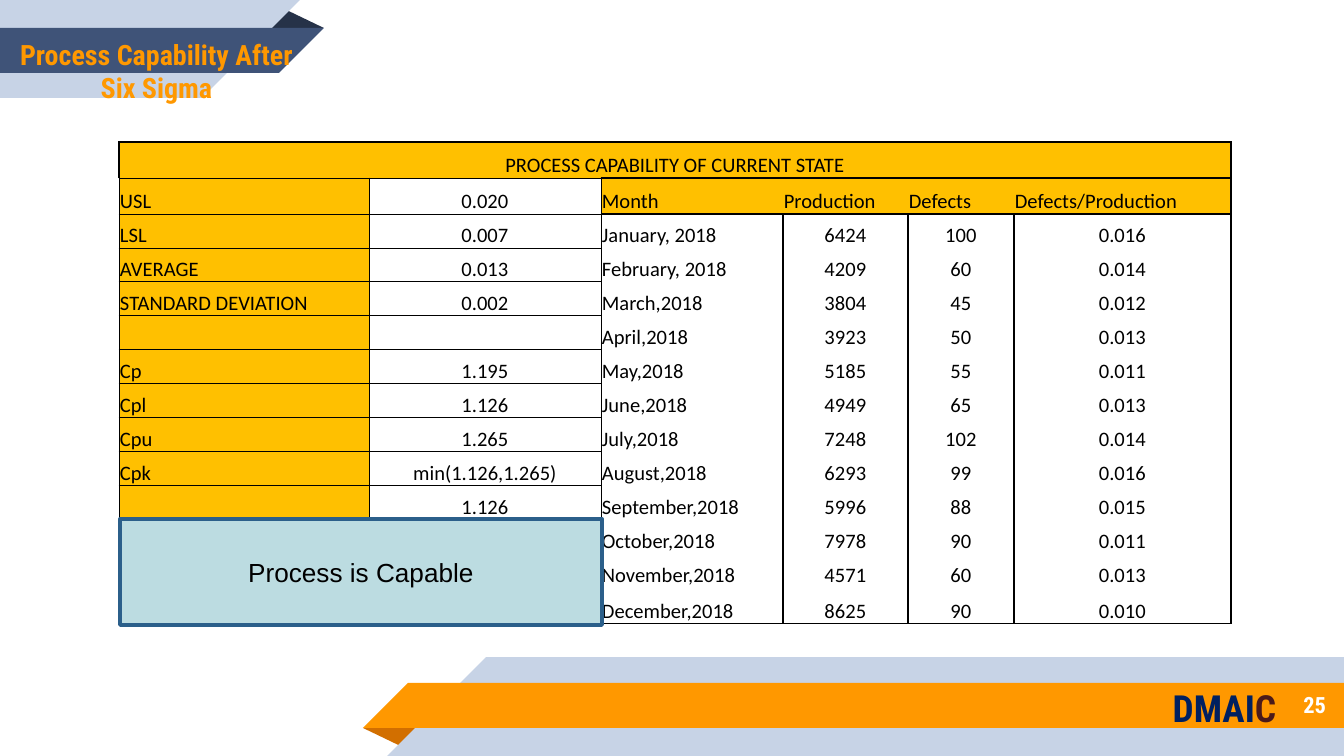
import lxml.etree
import pptx
import pptx.dml.color
import pptx.enum.shapes
import pptx.enum.text
import pptx.oxml.ns
import pptx.util

RGBColor = pptx.dml.color.RGBColor
Shape = pptx.enum.shapes.MSO_SHAPE
Align = pptx.enum.text.PP_ALIGN
Anchor = pptx.enum.text.MSO_ANCHOR
Pt = pptx.util.Pt
qn = pptx.oxml.ns.qn

EMU_PER_PX = 914400 / 134.4

BLACK = RGBColor(0x00, 0x00, 0x00)
WHITE = RGBColor(0xFF, 0xFF, 0xFF)
PALE_BLUE = RGBColor(0xC7, 0xD3, 0xE6)
SLATE = RGBColor(0x3F, 0x53, 0x78)
DARK_SLATE = RGBColor(0x26, 0x32, 0x48)
ORANGE = RGBColor(0xFF, 0x98, 0x00)
DARK_ORANGE = RGBColor(0xD2, 0x6F, 0x00)
AMBER = RGBColor(0xFF, 0xC0, 0x00)
VERDICT_FILL = RGBColor(0xBC, 0xDC, 0xE1)
VERDICT_LINE = RGBColor(0x2B, 0x5F, 0x8A)
NAVY = RGBColor(0x00, 0x20, 0x60)
MAROON = RGBColor(0x4B, 0x1A, 0x1A)

HEADING_FONT = "Roboto Condensed"

TABLE_TITLE = "PROCESS CAPABILITY OF CURRENT STATE"
CAPABILITY = [
    ("USL", "0.020"), ("LSL", "0.007"), ("AVERAGE", "0.013"),
    ("STANDARD DEVIATION", "0.002"), ("", ""), ("Cp", "1.195"),
    ("Cpl", "1.126"), ("Cpu", "1.265"), ("Cpk", "min(1.126,1.265)"),
    ("", "1.126"), ("", ""), ("", ""), ("", ""),
]
PRODUCTION = [
    ("Month", "Production", "Defects", "Defects/Production"),
    ("January, 2018", "6424", "100", "0.016"),
    ("February, 2018", "4209", "60", "0.014"),
    ("March,2018", "3804", "45", "0.012"),
    ("April,2018", "3923", "50", "0.013"),
    ("May,2018", "5185", "55", "0.011"),
    ("June,2018", "4949", "65", "0.013"),
    ("July,2018", "7248", "102", "0.014"),
    ("August,2018", "6293", "99", "0.016"),
    ("September,2018", "5996", "88", "0.015"),
    ("October,2018", "7978", "90", "0.011"),
    ("November,2018", "4571", "60", "0.013"),
    ("December,2018", "8625", "90", "0.010"),
]
COLUMN_WIDTHS = [250, 232, 182, 125, 106, 217]
ROW_HEIGHTS = [36, 36] + [34] * 11 + [36]
LAST_CAPABILITY_ROW = 10


def px(length):
    return pptx.util.Emu(round(length * EMU_PER_PX))


def add_run(paragraph, text, font, size, color, bold=False):
    run = paragraph.add_run()
    run.text = text
    run.font.name = font
    run.font.size = Pt(size)
    run.font.bold = bold
    run.font.color.rgb = color


def add_solid(slide, kind, box, fill, rotation=0):
    solid = slide.shapes.add_shape(kind, *map(px, box))
    solid.shadow.inherit = False
    solid.fill.solid()
    solid.fill.fore_color.rgb = fill
    solid.line.fill.background()
    solid.rotation = rotation
    return solid


def add_ribbon(slide, box, strip_top, fold_top, strip_color, fold_color, points_right):
    """Draw a pale band under a coloured strip with a fold, tips at one side."""
    left, top, width, height = box
    strip_height, inset = 45, 24
    fold_width, fold_height = 58, 19

    def place(kind, x, y, w, h, color, rotation=0):
        across = x if points_right else width - x - w
        return add_solid(slide, kind, (left + across, top + y, w, h), color, rotation)

    fold = place(Shape.ISOSCELES_TRIANGLE, width - fold_width, fold_top,
                 fold_width, fold_height, fold_color, 0 if points_right else 180)
    fold.adjustments[0] = 0.32
    tip_rotation = 90 if points_right else 270
    for end, y, h, color in ((width - inset, 0, height, PALE_BLUE),
                             (width, strip_top, strip_height, strip_color)):
        place(Shape.RECTANGLE, 0, y, end - h, h, color)
        place(Shape.RIGHT_TRIANGLE, end - h, y, h, h, color, tip_rotation)


def format_frame(frame, alignment):
    frame.word_wrap = True
    frame.auto_size = pptx.enum.text.MSO_AUTO_SIZE.NONE
    frame.vertical_anchor = Anchor.MIDDLE
    frame.margin_left = frame.margin_right = px(13)
    frame.margin_top = frame.margin_bottom = px(13)
    frame.paragraphs[0].alignment = alignment
    return frame.paragraphs[0]


def add_header(slide, box):
    left, top, width, _ = box
    add_ribbon(slide, box, 28, 9, SLATE, DARK_SLATE, True)
    title = slide.shapes.title
    slide.shapes.element.append(title.element)  # bring in front of the ribbon
    title.left, title.top = px(left - 4), px(top + 32)
    title.width, title.height = px(width - 3), px(78)
    heading = format_frame(title.text_frame, Align.CENTER)
    add_run(heading, "Process Capability After Six Sigma", HEADING_FONT, 15, ORANGE, True)


def add_footer(slide, box):
    left, top, width, _ = box
    add_ribbon(slide, box, 26, 71, ORANGE, DARK_ORANGE, False)
    right = left + width - 5
    number = slide.shapes.add_textbox(px(right - 219), px(top + 24), px(219), px(47))
    add_run(format_frame(number.text_frame, Align.RIGHT), "25", HEADING_FONT, 12, WHITE, True)
    method = slide.shapes.add_textbox(px(right - 229), px(top + 24), px(229), px(54))
    letters = format_frame(method.text_frame, Align.CENTER)
    add_run(letters, "DMAI", HEADING_FONT, 20, NAVY, True)
    add_run(letters, "C", HEADING_FONT, 20, MAROON, True)


def edge_widths(row, col):
    """Border widths in points, as left, right, top, bottom; 0 is no border."""
    last = len(ROW_HEIGHTS) - 1
    if row == 0:
        return 1, 1, 1, 0.5
    if col < 2:
        if row <= LAST_CAPABILITY_ROW:
            return 0.5, 0.5, 0.5, 0.5
        return int(col == 0), int(col == 1), 0, int(row == last)
    left = 0.5 if col == 2 and row <= LAST_CAPABILITY_ROW else 1
    if row == 1:
        return left if col == 2 else 0, int(col == 5), 1, 1
    return left, 1, int(row == 2), int(row == last)


def set_borders(cell, widths):
    properties = cell._tc.get_or_add_tcPr()
    for side, width in zip("LRTB", widths):
        line = lxml.etree.SubElement(properties, qn(f"a:ln{side}"), w=str(Pt(width)))
        if width:
            fill = lxml.etree.SubElement(line, qn("a:solidFill"))
            lxml.etree.SubElement(fill, qn("a:srgbClr"), val=str(BLACK))
        else:
            lxml.etree.SubElement(line, qn("a:noFill"))


def fill_cell(cell, row, col, text):
    set_borders(cell, edge_widths(row, col))
    if row < 2 and col != 1 or row == 0 or col == 0 and row <= LAST_CAPABILITY_ROW:
        cell.fill.solid()
        cell.fill.fore_color.rgb = AMBER
    else:
        cell.fill.background()
    cell.margin_left = cell.margin_right = cell.margin_top = px(1)
    cell.margin_bottom = 0
    cell.vertical_anchor = Anchor.BOTTOM
    paragraph = cell.text_frame.paragraphs[0]
    is_label = row > 0 and (col in (0, 2) or row == 1 and col > 2)
    paragraph.alignment = Align.LEFT if is_label else Align.CENTER
    if text:
        add_run(paragraph, text, "Calibri", 11, BLACK)
    else:
        lxml.etree.SubElement(paragraph._p, qn("a:endParaRPr"), sz="1100")


def add_capability_table(slide, left, top):
    rows = [(TABLE_TITLE, "", "", "", "", "")]
    rows += [limits + month for limits, month in zip(CAPABILITY, PRODUCTION)]
    table = slide.shapes.add_table(
        len(rows), len(COLUMN_WIDTHS), px(left), px(top),
        px(sum(COLUMN_WIDTHS)), px(sum(ROW_HEIGHTS))).table
    table.first_row = table.horz_banding = False
    for column, width in zip(table.columns, COLUMN_WIDTHS):
        column.width = px(width)
    for table_row, height in zip(table.rows, ROW_HEIGHTS):
        table_row.height = px(height)
    for row, texts in enumerate(rows):
        for col, text in enumerate(texts):
            fill_cell(table.cell(row, col), row, col, text)
    table.cell(0, 0).merge(table.cell(0, len(COLUMN_WIDTHS) - 1))


def add_verdict(slide, box):
    verdict = add_solid(slide, Shape.RECTANGLE, box, VERDICT_FILL)
    verdict.line.color.rgb = VERDICT_LINE
    verdict.line.width = Pt(2)
    paragraph = format_frame(verdict.text_frame, Align.CENTER)
    add_run(paragraph, "Process is Capable", "Arial", 14, BLACK)


def main():
    presentation = pptx.Presentation()
    presentation.slide_width, presentation.slide_height = px(1344), px(756)
    slide = presentation.slides.add_slide(presentation.slide_layouts[5])
    add_footer(slide, (363, 657, 981, 99))
    add_header(slide, (0, 0, 324, 98))
    add_capability_table(slide, 119, 142)
    add_verdict(slide, (120, 519, 482, 106))
    presentation.save("out.pptx")


if __name__ == "__main__":
    main()
